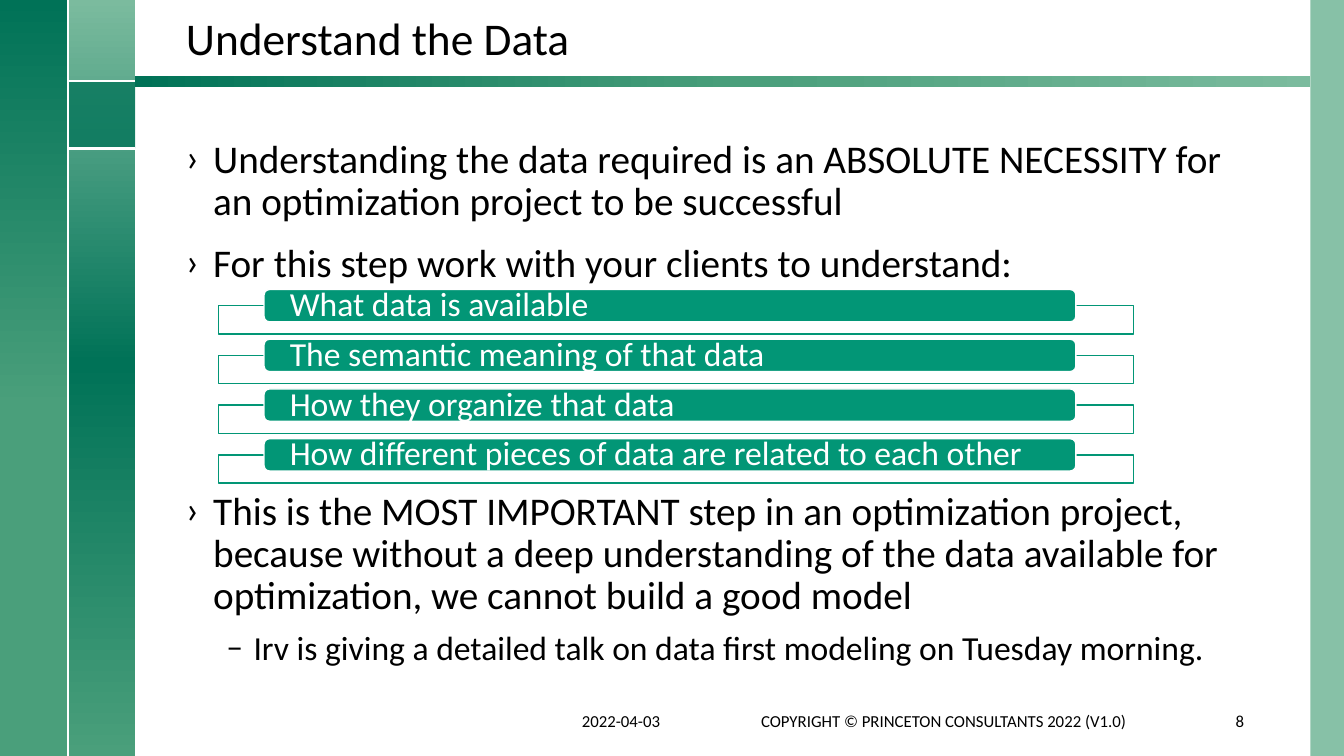
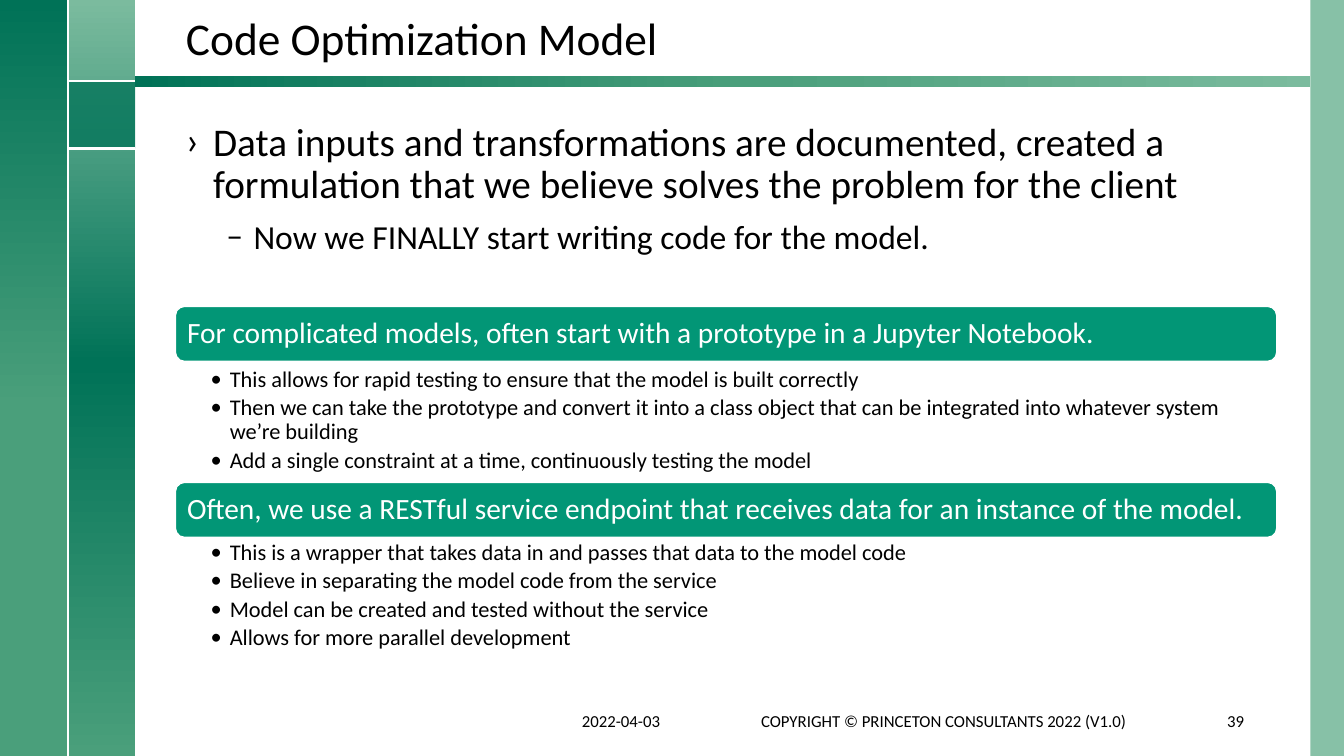
from lxml.etree import SubElement
from pptx import Presentation
from pptx.dml.color import RGBColor
from pptx.enum.shapes import MSO_CONNECTOR, MSO_SHAPE
from pptx.enum.text import MSO_ANCHOR, PP_ALIGN
from pptx.oxml.ns import qn
from pptx.util import Inches, Pt

WIDTH, HEIGHT = 13.33, 7.5
COLUMNS = 20
UNIT = WIDTH / COLUMNS
ROWS = HEIGHT / UNIT
FONT = "Calibri"

MINT, LEAF, PINE, TEAL = "7BBB9E", "4A9F7B", "007257", "029676"
WHITE, BLACK = "FFFFFF", "000000"

GRADIENT_BANDS = [
    ((1.01, 0, 1, ROWS), 270, [(0, MINT), (48, PINE), (100, LEAF)]),
    ((0, 0, 1.01, ROWS), 90, [(0, LEAF), (46, LEAF), (100, PINE)]),
    ((2.01, 1.13, 17.49, 0.16), 180, [(0, MINT), (48, LEAF), (100, PINE)]),
]
TINTED_BANDS = [
    ((19.5, 0, 0.5, ROWS), MINT, 90),
    ((1.01, 1.21, 1, 1), PINE, 75),
]
RAIL_LINES = [(1.01, 1.21, 2.01, 1.21), (1.01, 2.21, 2.01, 2.21), (1.01, 0, 1.01, ROWS)]

TEXT_LEFT, TEXT_WIDTH = 2.62, 16.05
TITLE_AREA = (TEXT_LEFT, 0.12, TEXT_WIDTH, 0.92)
FOOTER = [
    ("2022-04-03", (8.51, 10.43, 2, 0.6), PP_ALIGN.LEFT),
    ("COPYRIGHT © PRINCETON CONSULTANTS 2022 (V1.0)", (10.75, 10.43, 6.59, 0.6), PP_ALIGN.CENTER),
]
NUMBER_AREA = (17.66, 10.43, 1, 0.6)

STYLES = {
    "title": {"size": 32.4, "paragraph": {"line_spacing": 0.9}},
    "footer": {"size": 12, "paragraph": {}},
    "point": {"size": 28, "bullet": ("›", 0.27, 0.27),
              "paragraph": {"line_spacing": 0.9, "space_before": Pt(14)}},
    "subpoint": {"size": 24, "bullet": ("–", 0.67, 0.27),
                 "paragraph": {"space_before": Pt(6)}},
    "bar": {"size": 24, "color": WHITE,
            "paragraph": {"line_spacing": 0.9, "alignment": PP_ALIGN.LEFT}},
    "heading": {"size": 21, "color": WHITE,
                "paragraph": {"line_spacing": 0.9, "alignment": PP_ALIGN.LEFT}},
    "detail": {"size": 16, "bullet": ("•", 0.19, 0.19),
               "paragraph": {"line_spacing": 0.9, "space_after": Pt(3)}},
}

DATA_SLIDE = {
    "title": "Understand the Data",
    "number": "8",
    "bodies": [
        (2, 2.28, [
            ("point", "Understanding the data required is an ABSOLUTE NECESSITY for an optimization project to be successful"),
            ("point", "For this step work with your clients to understand:"),
        ]),
        (7.24, 3, [
            ("point", "This is the MOST IMPORTANT step in an optimization project, because without a deep understanding of the data available for optimization, we cannot build a good model"),
            ("subpoint", "Irv is giving a detailed talk on data first modeling on Tuesday morning."),
        ]),
    ],
}
QUESTIONS = [
    "What data is available",
    "The semantic meaning of that data",
    "How they organize that data",
    "How different pieces of data are related to each other",
]
QUESTION_TOP, QUESTION_PITCH = 4.31, 0.74

CODE_SLIDE = {
    "title": "Code Optimization Model",
    "number": "39",
    "bodies": [
        (1.75, 2.25, [
            ("point", "Data inputs and transformations are documented, created a formulation that we believe solves the problem for the client"),
            ("subpoint", "Now we FINALLY start writing code for the model."),
        ]),
    ],
}
SECTIONS = [
    ("For complicated models, often start with a prototype in a Jupyter Notebook.", 4.56, 5.43, [
        "This allows for rapid testing to ensure that the model is built correctly",
        "Then we can take the prototype and convert it into a class object that can be integrated into whatever system we’re building",
        "Add a single constraint at a time, continuously testing the model",
    ]),
    ("Often, we use a RESTful service endpoint that receives data for an instance of the model.", 7.18, 8.01, [
        "This is a wrapper that takes data in and passes that data to the model code",
        "Believe in separating the model code from the service",
        "Model can be created and tested without the service",
        "Allows for more parallel development",
    ]),
]
SECTION_LEFT, SECTION_WIDTH = 2.61, 16.39


def rgb(value):
    return RGBColor.from_string(value)


def grid(lengths):
    return [Inches(length * UNIT) for length in lengths]


def set_all(target, values):
    for name, value in values.items():
        setattr(target, name, value)


def add_block(slide, area, fill=None, line=None, alpha=100, kind=MSO_SHAPE.RECTANGLE):
    block = slide.shapes.add_shape(kind, *grid(area))
    block.shadow.inherit = False
    if fill:
        block.fill.solid()
        block.fill.fore_color.rgb = rgb(fill)
        if alpha < 100:
            tint = block.fill._xPr.find(".//" + qn("a:srgbClr"))
            SubElement(tint, qn("a:alpha"), val=str(alpha * 1000))
    if line:
        block.line.color.rgb = rgb(line)
        block.line.width = Pt(1)
    else:
        block.line.fill.background()
    return block


def add_gradient(slide, area, angle, stops):
    band = add_block(slide, area)
    band.fill.gradient()
    band.fill.gradient_angle = angle
    stop_list = band.fill._xPr.find(".//" + qn("a:gsLst"))
    for default in list(stop_list):
        stop_list.remove(default)
    for position, color in stops:
        stop = SubElement(stop_list, qn("a:gs"), pos=str(position * 1000))
        SubElement(stop, qn("a:srgbClr"), val=color)


def add_rail_line(slide, ends):
    rail = slide.shapes.add_connector(MSO_CONNECTOR.STRAIGHT, *grid(ends))
    rail.line.color.rgb = rgb(WHITE)
    rail.line.width = Pt(1.5)
    SubElement(rail._element.spPr, qn("a:effectLst"))


def write(holder, entries, anchor=MSO_ANCHOR.TOP, insets=(0.1, 0.05, 0.1, 0.05)):
    frame = holder.text_frame
    sides = ("margin_left", "margin_top", "margin_right", "margin_bottom")
    set_all(frame, {"word_wrap": True, "vertical_anchor": anchor,
                    **dict(zip(sides, map(Inches, insets)))})
    for index, (style_name, words, *changes) in enumerate(entries):
        style = STYLES[style_name]
        paragraph = frame.add_paragraph() if index else frame.paragraphs[0]
        if "bullet" in style:
            mark, margin, hang = style["bullet"]
            properties = paragraph._p.get_or_add_pPr()
            properties.set("marL", str(Inches(margin)))
            properties.set("indent", str(-Inches(hang)))
            SubElement(properties, qn("a:buFont"), typeface=FONT)
            SubElement(properties, qn("a:buChar"), char=mark)
        layout = dict(style["paragraph"])
        for change in changes:
            layout.update(change)
        if index == 0:
            layout.pop("space_before", None)
        set_all(paragraph, layout)
        run = paragraph.add_run()
        run.text = words
        set_all(run.font, {"name": FONT, "size": Pt(style["size"])})
        run.font.color.rgb = rgb(style.get("color", BLACK))


def add_text(slide, area, entries, **options):
    write(slide.shapes.add_textbox(*grid(area)), entries, **options)


def start_slide(deck, content):
    slide = deck.slides.add_slide(deck.slide_layouts[6])
    for band in GRADIENT_BANDS:
        add_gradient(slide, *band)
    for area, color, alpha in TINTED_BANDS:
        add_block(slide, area, color, alpha=alpha)
    for ends in RAIL_LINES:
        add_rail_line(slide, ends)
    add_text(slide, TITLE_AREA, [("title", content["title"])], anchor=MSO_ANCHOR.BOTTOM)
    for top, height, points in content["bodies"]:
        add_text(slide, (TEXT_LEFT, top, TEXT_WIDTH, height), points, insets=(0.1, 0.05, 0.1, 0))
    for words, area, alignment in FOOTER + [(content["number"], NUMBER_AREA, PP_ALIGN.RIGHT)]:
        add_text(slide, area, [("footer", words, {"alignment": alignment})], anchor=MSO_ANCHOR.MIDDLE)
    return slide


def add_questions(slide):
    for index, question in enumerate(QUESTIONS):
        top = QUESTION_TOP + index * QUESTION_PITCH
        add_block(slide, (3.25, top + 0.24, 13.62, 0.42), WHITE, TEAL, alpha=90)
        bar = add_block(slide, (3.93, top, 12.08, 0.48), TEAL, WHITE, kind=MSO_SHAPE.ROUNDED_RECTANGLE)
        write(bar, [("bar", question)], MSO_ANCHOR.MIDDLE, (0.24, 0, 0.24, 0))


def add_sections(slide):
    for heading, heading_top, detail_top, details in SECTIONS:
        bar = add_block(slide, (SECTION_LEFT, heading_top, SECTION_WIDTH, 0.82), TEAL, WHITE,
                        kind=MSO_SHAPE.ROUNDED_RECTANGLE)
        write(bar, [("heading", heading)], MSO_ANCHOR.MIDDLE, (0.09, 0.06, 0.09, 0.06))
        add_text(slide, (SECTION_LEFT, detail_top, SECTION_WIDTH, 1.75),
                 [("detail", detail) for detail in details], insets=(0.35, 0.03, 0.16, 0.03))


def main():
    deck = Presentation()
    set_all(deck, {"slide_width": Inches(WIDTH), "slide_height": Inches(HEIGHT)})
    add_questions(start_slide(deck, DATA_SLIDE))
    add_sections(start_slide(deck, CODE_SLIDE))
    deck.save("out.pptx")


if __name__ == "__main__":
    main()
